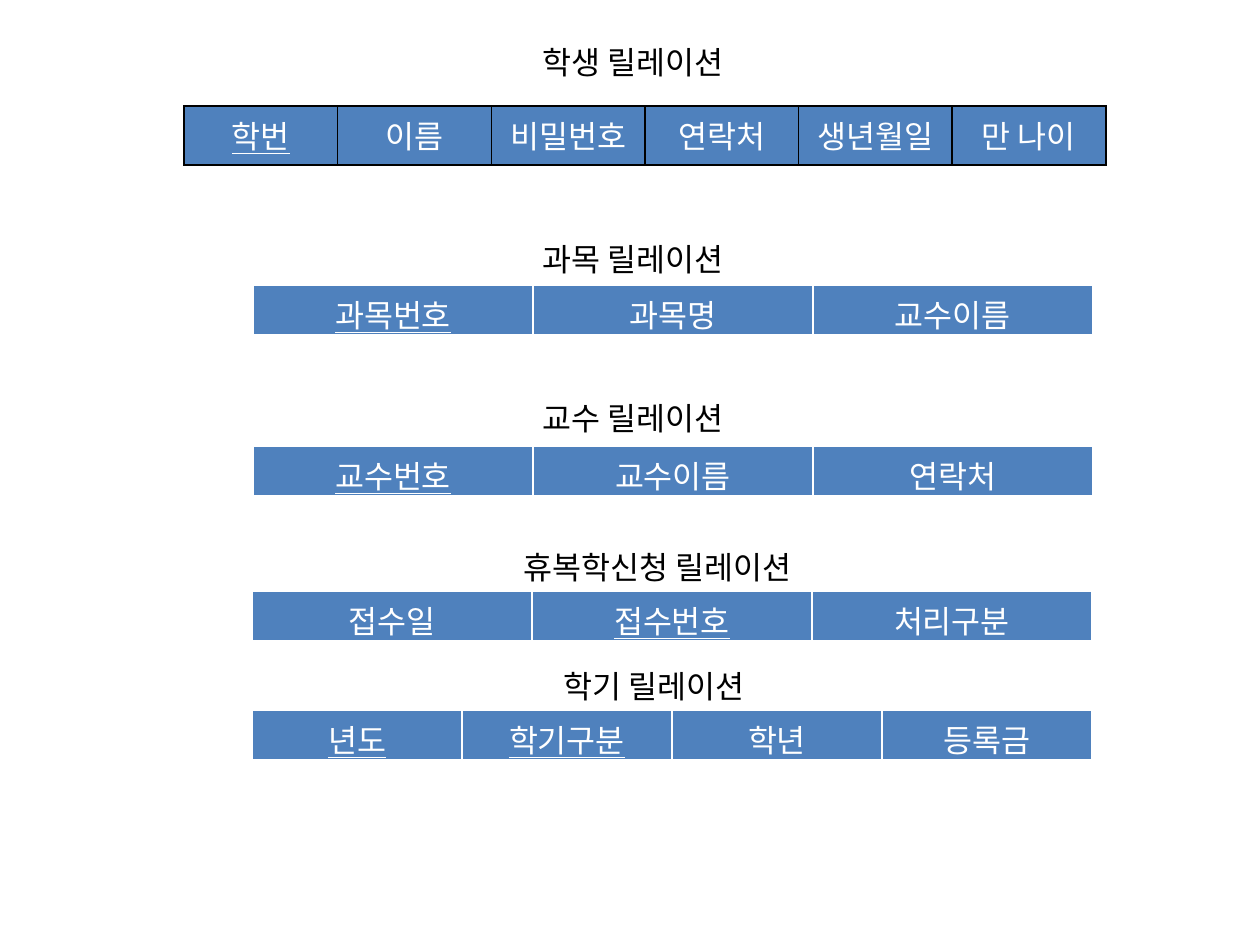
from lxml import etree
from pptx import Presentation
from pptx.dml.color import RGBColor
from pptx.enum.text import MSO_ANCHOR, MSO_AUTO_SIZE, PP_ALIGN
from pptx.oxml.ns import qn
from pptx.util import Emu, Pt

CENTER = PP_ALIGN.CENTER
TOP = MSO_ANCHOR.TOP
FIT = MSO_AUTO_SIZE.SHAPE_TO_FIT_TEXT
FONT = "Noto Sans CJK KR"
COLORS = {"fill": "4F81BD", "text": "000000", "head": "FFFFFF",
          "grid": "000000", "gap": "FFFFFF"}
BLANK = 6

# Title, title place, table place, fields, key fields, border colour, bottom pt
TABLES = [
    ("학생 릴레이션", (530, 37), (184, 106, 922, 59),
     ["학번", "이름", "비밀번호", "연락처", "생년월일", "만 나이"],
     {"학번"}, "grid", 1),
    ("과목 릴레이션", (530, 234), (253, 285, 840, 51),
     ["과목번호", "과목명", "교수이름"], {"과목번호"}, "gap", 3),
    ("교수 릴레이션", (530, 393), (253, 446, 840, 51),
     ["교수번호", "교수이름", "연락처"], {"교수번호"}, "gap", 3),
    ("휴복학신청 릴레이션", (511, 542), (252, 591, 840, 51),
     ["접수일", "접수번호", "처리구분"], {"접수번호"}, "gap", 3),
    ("학기 릴레이션", (551, 661), (252, 710, 840, 51),
     ["년도", "학기구분", "학년", "등록금"], {"년도", "학기구분"}, "gap", 3),
]


def px(num):
    return Emu(round(num * 914400 / 126))


def add_run(para, text, color, under=False):
    run = para.add_run()
    run.text = text
    font = run.font
    font.size = Pt(18)
    font.name = FONT
    font.underline = under
    font.color.rgb = RGBColor.from_string(COLORS[color])
    east = etree.SubElement(run._r.get_or_add_rPr(), qn("a:ea"))
    east.set("typeface", FONT)


def add_label(slide, text, left, top):
    width = 323 if len(text) > 8 else 228
    box = slide.shapes.add_textbox(px(left), px(top), px(width), px(50))
    frame = box.text_frame
    frame.word_wrap = False
    frame.auto_size = FIT
    add_run(frame.paragraphs[0], text, "text")


def set_border(cell, color, base):
    props = cell._tc.get_or_add_tcPr()
    sides = (("lnL", 1), ("lnR", 1), ("lnT", 1), ("lnB", base))
    # Borders come before the fill in the cell properties
    for spot, (side, width) in enumerate(sides):
        line = etree.Element(qn("a:" + side), w=str(Pt(width)))
        fill = etree.SubElement(line, qn("a:solidFill"))
        etree.SubElement(fill, qn("a:srgbClr"), val=COLORS[color])
        props.insert(spot, line)


def add_table(slide, place, fields, keys, color, base):
    left, top, width, height = map(px, place)
    table = slide.shapes.add_table(
        1, len(fields), left, top, width, height).table
    for col, field in enumerate(fields):
        table.columns[col].width = Emu(width // len(fields))
        cell = table.cell(0, col)
        cell.fill.solid()
        cell.fill.fore_color.rgb = RGBColor.from_string(COLORS["fill"])
        cell.vertical_anchor = TOP
        cell.margin_bottom = 0
        para = cell.text_frame.paragraphs[0]
        para.alignment = CENTER
        add_run(para, field, "head", field in keys)
        set_border(cell, color, base)


def main():
    deck = Presentation()
    deck.slide_width, deck.slide_height = px(1260), px(945)
    slide = deck.slides.add_slide(deck.slide_layouts[BLANK])
    for title, spot, place, fields, keys, color, base in TABLES:
        add_label(slide, title, *spot)
        add_table(slide, place, fields, keys, color, base)
    deck.save("out.pptx")


main()
